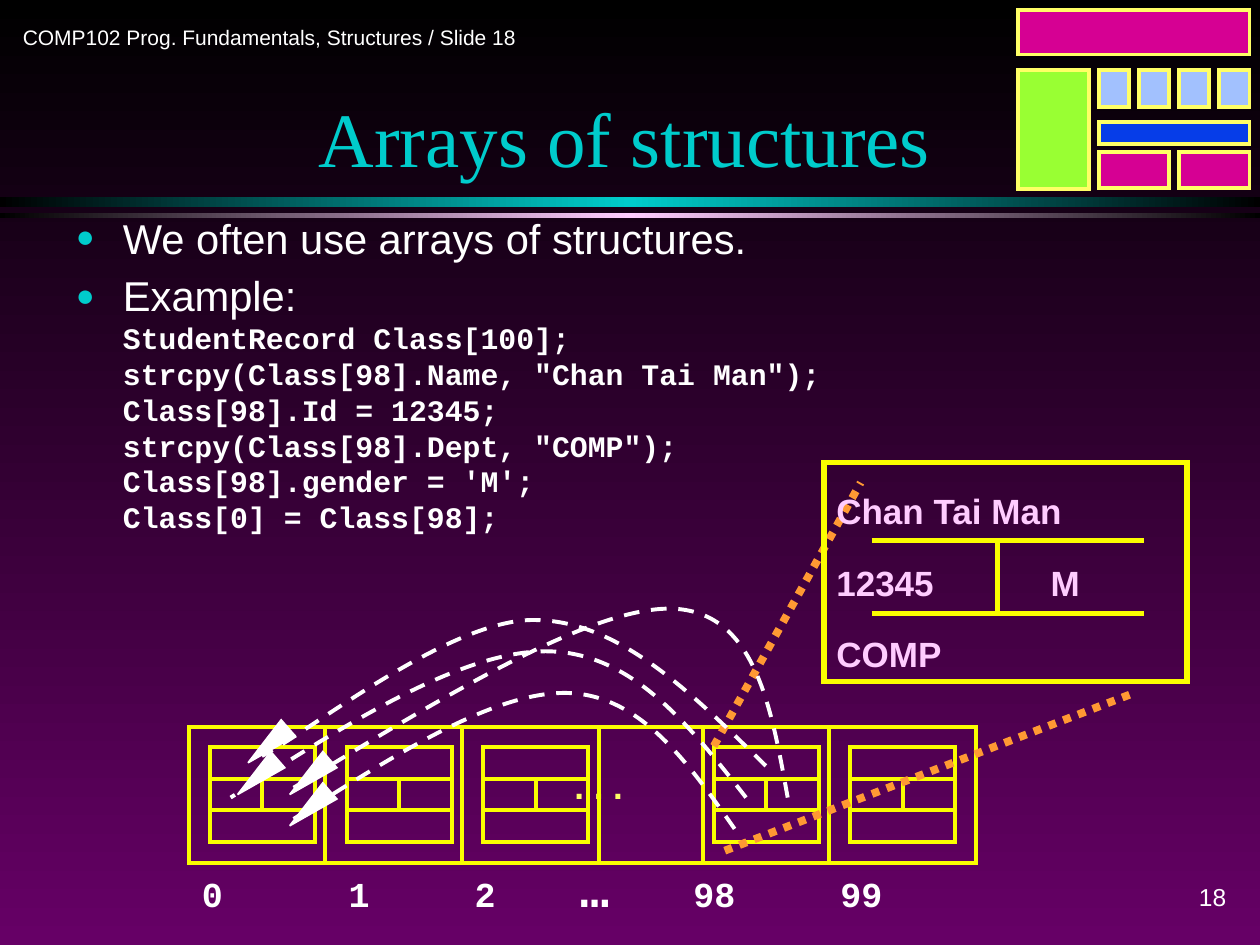
from copy import deepcopy

from lxml import etree
from pptx import Presentation
from pptx.dml.color import RGBColor
from pptx.enum.dml import MSO_LINE
from pptx.enum.shapes import MSO_CONNECTOR, MSO_SHAPE
from pptx.enum.text import MSO_ANCHOR, PP_ALIGN
from pptx.oxml.ns import qn
from pptx.util import Cm, Pt

RECT, TRIANGLE = MSO_SHAPE.RECTANGLE, MSO_SHAPE.ISOSCELES_TRIANGLE
STRAIGHT = MSO_CONNECTOR.STRAIGHT
DASH, DOTS = MSO_LINE.DASH, MSO_LINE.ROUND_DOT
TOP, MIDDLE, BOTTOM = MSO_ANCHOR.TOP, MSO_ANCHOR.MIDDLE, MSO_ANCHOR.BOTTOM
LEFT, CENTER, RIGHT = PP_ALIGN.LEFT, PP_ALIGN.CENTER, PP_ALIGN.RIGHT

THEME = {
    "black": "000000", "purple": "660066", "teal": "00CCCC", "pink": "FFCCFF",
    "white": "FFFFFF", "yellow": "FAFD00", "pale": "FFFF66", "orange": "FF9933",
    "magenta": "D60093", "lime": "99FF33", "sky": "A2C1FE", "blue": "063DE8",
    "header": {"name": "Arial", "size": 12, "color": "white"},
    "number": {"name": "Arial", "size": 14, "color": "white"},
    "title": {"name": "Times New Roman", "size": 44, "color": "teal"},
    "body": {"name": "Arial", "size": 23.8, "color": "white"},
    "code": {"name": "Courier New", "size": 17, "bold": True, "color": "white"},
    "index": {"name": "Courier New", "size": 20, "bold": True, "color": "white"},
    "gap": {"name": "Courier New", "size": 28, "bold": True, "color": "white"},
    "dots": {"name": "Arial", "size": 20, "bold": True, "color": "pale"},
    "card": {"name": "Arial", "size": 20, "bold": True, "color": "pink"},
}

CODE = [
    "StudentRecord Class[100];",
    'strcpy(Class[98].Name, "Chan Tai Man");',
    "Class[98].Id = 12345;",
    'strcpy(Class[98].Dept, "COMP");',
    "Class[98].gender = 'M';",
    "Class[0] = Class[98];",
]
CARD_ROWS = ["Chan Tai Man", "12345\tM", "COMP"]
INDEX_RUNS = [("0\t1\t2\t", "index"), ("…", "gap"), ("\t98\t99", "index")]
INDEX_TABS = [2.96, 5.5, 7.62, 9.91, 12.87]

BANDS = [(3.97, 0.2, "teal"), (4.29, 0.1, "pink")]  # top, height, middle colour
ARRAY = (3.81, 14.65, 15.87, 2.75)
DIVIDERS = [6.56, 9.31, 12.07, 14.18, 16.72]
RECORD_LEFTS = [4.23, 6.99, 9.74, 14.39, 17.14]
RECORD_TOP, RECORD_W, RECORD_H = 15.06, 2.12, 1.91
CARD = (16.61, 9.32, 7.32, 4.42)
CARD_LINES = [(17.57, 10.9, 23.06, 10.9), (17.57, 12.37, 23.06, 12.37),
              (20.11, 10.9, 20.11, 12.37)]
ZOOM_LINES = [(14.39, 15.04, 17.35, 9.73), (14.61, 17.15, 22.86, 13.97)]
# Each copy path: start point, then two cubic Bezier segments
COPY_PATHS = [
    [(15.44, 15.44), (13.97, 14), (12.5, 12.52), (10.8, 12.5),
     (9.09, 12.45), (6.2, 14.78), (5.28, 15.24)],
    [(15.04, 16.08), (13.89, 14.61), (12.73, 13.13), (11, 13.13),
     (9.27, 13.13), (6.96, 14.61), (4.65, 16.08)],
    [(15.88, 16.08), (15.54, 14.2), (15.21, 12.32), (13.54, 12.27),
     (11.89, 12.24), (8.92, 14.05), (5.92, 15.88)],
    [(14.81, 16.71), (13.87, 15.37), (12.9, 14), (11.43, 13.97),
     (9.96, 13.94), (7.95, 15.22), (5.92, 16.51)],
]
ARROWHEADS = [(5.19, 14.49), (4.98, 15.13), (6.03, 15.13), (6.03, 15.76)]
TILE_X, TILE_STEP = 22.15, 0.81
TILES = [
    (20.53, 0.21, 4.66, 0.89, "magenta"),
    (20.53, 1.42, 1.42, 2.39, "lime"),
    *[(TILE_X + i * TILE_STEP, 1.42, 0.61, 0.74, "sky") for i in range(4)],
    (TILE_X, 2.46, 3.04, 0.45, "blue"),
    *[(TILE_X + i * TILE_STEP, 3.06, 1.42, 0.74, "magenta") for i in (0, 2)],
]


def rgb(name):
    return RGBColor.from_string(THEME[name])


def set_line(line, color, width, dash=None):
    line.color.rgb = rgb(color)
    line.width = Pt(width)
    if dash:
        line.dash_style = dash


def set_gradient(fill, element, colors, angle):
    """Spread the colours evenly; element is the XML that holds the fill."""
    fill.gradient()
    fill.gradient_angle = angle
    stops = element.find(".//" + qn("a:gsLst"))
    while len(stops) < len(colors):
        stops.append(deepcopy(stops[-1]))
    for i, (stop, color) in enumerate(zip(fill.gradient_stops, colors)):
        stop.color.rgb = rgb(color)
        stop.position = i / (len(colors) - 1)


def add_box(s, box, fill=None, line=None, width=2.25, kind=RECT):
    sp = s.shapes.add_shape(kind, *map(Cm, box))
    sp.shadow.inherit = False
    if fill:
        sp.fill.solid()
        sp.fill.fore_color.rgb = rgb(fill)
    else:
        sp.fill.background()
    if line:
        set_line(sp.line, line, width)
        ln = sp.element.spPr.find(qn("a:ln"))
        etree.SubElement(ln, qn("a:miter"), lim="800000")
    else:
        sp.line.fill.background()
    return sp


def add_line(s, ends, color="yellow", width=2.25, dash=None):
    line = s.shapes.add_connector(STRAIGHT, *map(Cm, ends))
    set_line(line.line, color, width, dash)
    etree.SubElement(line.element.spPr, qn("a:effectLst"))


def add_run(p, text, style):
    r = p.add_run()
    r.text = text
    for key, value in THEME[style].items():
        if key == "color":
            r.font.color.rgb = rgb(value)
        else:
            setattr(r.font, key, Pt(value) if key == "size" else value)


def add_text(s, box, runs, anchor=TOP, **paragraph):
    tf = s.shapes.add_textbox(*map(Cm, box)).text_frame
    tf.word_wrap, tf.vertical_anchor = True, anchor
    p = tf.paragraphs[0]
    for key, value in paragraph.items():
        setattr(p, key, value)
    for text, style in runs:
        add_run(p, text, style)
    return tf


def set_tabs(p, stops):
    tabs = etree.SubElement(p._p.get_or_add_pPr(), qn("a:tabLst"))
    for stop in stops:
        etree.SubElement(tabs, qn("a:tab"), pos=str(Cm(stop)), algn="l")


def set_bullet(p):
    pPr = p._p.get_or_add_pPr()
    pPr.set("marL", str(Cm(0.95)))
    pPr.set("indent", str(Cm(-0.95)))
    color = etree.SubElement(pPr, qn("a:buClr"))
    etree.SubElement(color, qn("a:srgbClr"), val=THEME["teal"])
    etree.SubElement(pPr, qn("a:buSzPct"), val="75000")
    etree.SubElement(pPr, qn("a:buFont"), typeface=THEME["body"]["name"])
    etree.SubElement(pPr, qn("a:buChar"), char="●")


def add_body(s):
    tf = add_text(s, (1.28, 4.44, 21.39, 6.55),
                  [("We often use arrays of structures.", "body")],
                  line_spacing=0.7, space_before=Pt(7))
    p = tf.add_paragraph()
    p.space_before = Pt(5)
    add_run(p, "Example:", "body")
    for code in CODE:
        p.add_line_break()
        add_run(p, code, "code")
    for p in tf.paragraphs:
        set_bullet(p)


def add_record(s, left):
    right, middle = left + RECORD_W, left + RECORD_W / 2
    upper, lower = (RECORD_TOP + RECORD_H * i / 3 for i in (1, 2))
    add_box(s, (left, RECORD_TOP, RECORD_W, RECORD_H), line="yellow")
    for ends in [(left, upper, right, upper), (left, lower, right, lower),
                 (middle, upper, middle, lower)]:
        add_line(s, ends)


def add_card(s):
    tf = add_box(s, CARD, line="yellow", width=3).text_frame
    tf.vertical_anchor, tf.word_wrap = TOP, True
    for i, row in enumerate(CARD_ROWS):
        p = tf.add_paragraph() if i else tf.paragraphs[0]
        p.alignment, p.line_spacing, p.space_before = LEFT, 1.5, Pt(5)
        set_tabs(p, [4.32])
        add_run(p, row, "card")
    for ends in CARD_LINES:
        add_line(s, ends, width=3)


def add_copy_path(s, points):
    """Draw the points as a freeform, each three after the first as one curve."""
    start, *rest = [tuple(map(Cm, point)) for point in points]
    builder = s.shapes.build_freeform(*start)
    builder.add_line_segments(rest, close=False)
    sp = builder.convert_to_shape()
    outline = sp.element.find(".//" + qn("a:path"))
    segments = outline.findall(qn("a:lnTo"))
    for i in range(0, len(segments), 3):
        curve = etree.SubElement(outline, qn("a:cubicBezTo"))
        for segment in segments[i:i + 3]:
            curve.append(segment[0])
            outline.remove(segment)
    sp.shadow.inherit = False
    sp.fill.background()
    set_line(sp.line, "white", 2.25, DASH)


def main():
    prs = Presentation()
    prs.slide_width, prs.slide_height = Cm(25.4), Cm(19.05)
    s = prs.slides.add_slide(prs.slide_layouts[6])
    set_gradient(s.background.fill, s.element, ["black", "purple"], 270)
    for top, height, color in BANDS:
        sp = add_box(s, (0, top, 25.4, height))
        set_gradient(sp.fill, sp.element, ["black", color, "black"], 0)

    add_text(s, (0.21, 0.21, 11, 1.07),
             [("COMP102 Prog. Fundamentals, Structures / Slide 18", "header")], MIDDLE)
    add_text(s, (21.59, 17.35, 3.38, 1.47), [("18", "number")], MIDDLE, alignment=RIGHT)
    add_text(s, (1.7, 0.64, 21.79, 3.18), [("Arrays of structures", "title")],
             BOTTOM, alignment=CENTER)
    add_body(s)

    for left in RECORD_LEFTS:
        add_record(s, left)
    add_text(s, (11.33, 15.29, 3.38, 1.12), [(". . .", "dots")], space_before=Pt(5))
    add_box(s, ARRAY, line="yellow")
    for x in DIVIDERS:
        add_line(s, (x, ARRAY[1], x, ARRAY[1] + ARRAY[3]))
    tf = add_text(s, (3.82, 17.18, 16.15, 1.45), INDEX_RUNS, space_before=Pt(5))
    set_tabs(tf.paragraphs[0], INDEX_TABS)

    for ends in ZOOM_LINES:
        add_line(s, ends, "orange", 4.5, DOTS)
    add_card(s)
    for points in COPY_PATHS:
        add_copy_path(s, points)
    for left, top in ARROWHEADS:
        add_box(s, (left, top, 0.43, 1.07), "white", "white", 1, TRIANGLE).rotation = 229
    for *box, color in TILES:
        add_box(s, box, color, "pale")
    prs.save("out.pptx")


if __name__ == "__main__":
    main()
